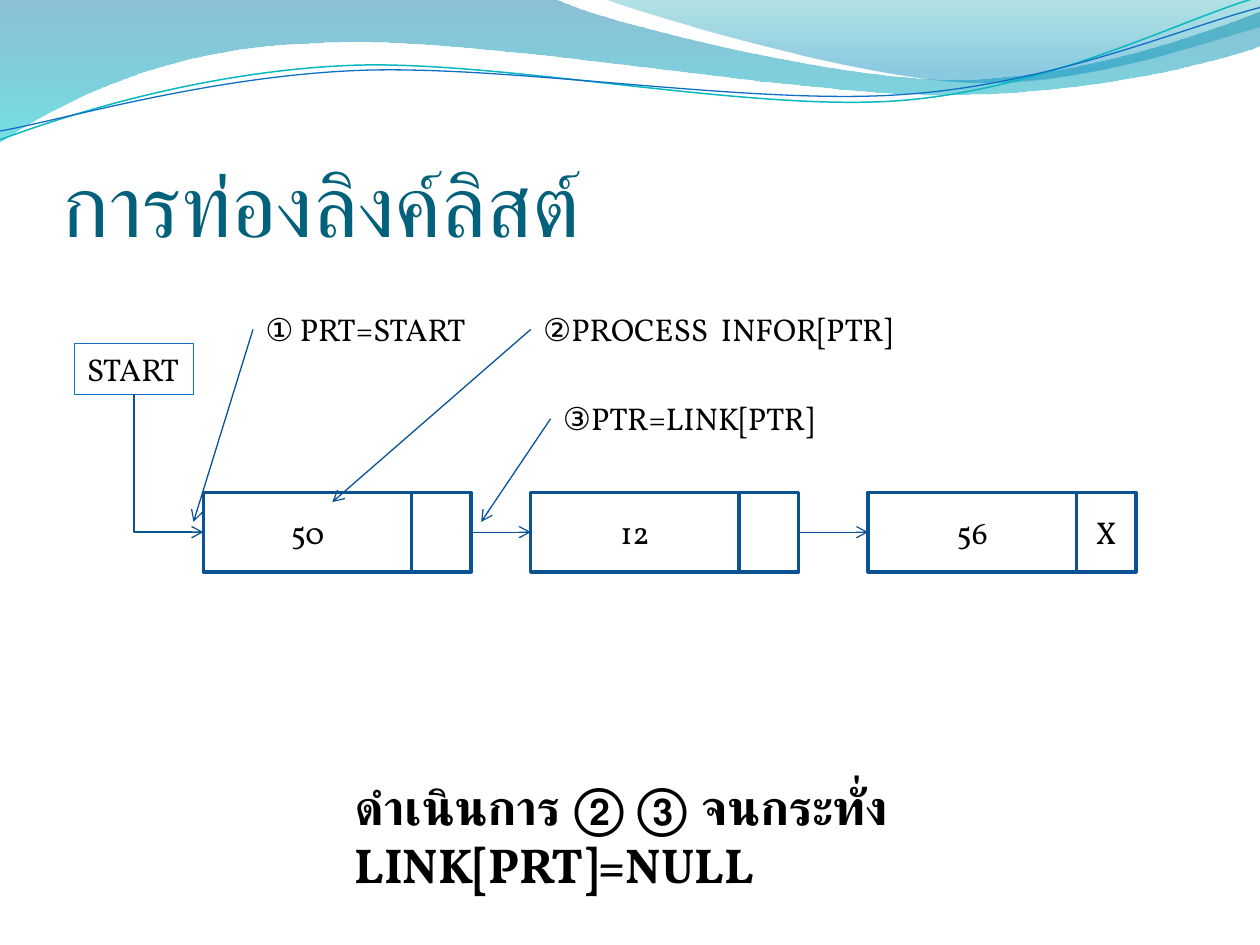
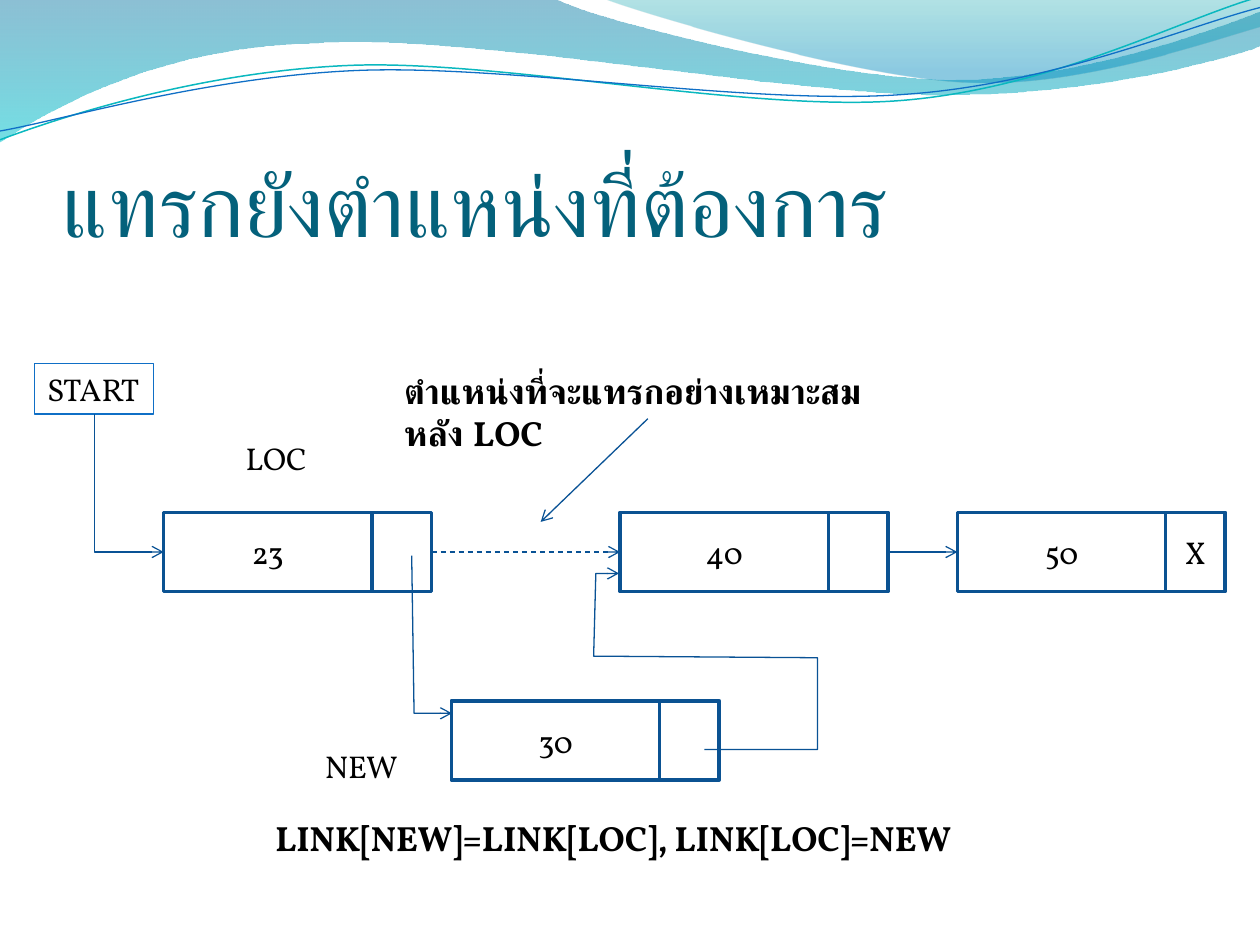
from itertools import pairwise
from lxml import etree
from pptx import Presentation, util as u
from pptx.dml.color import RGBColor
from pptx.enum import dml, shapes, text
from pptx.oxml import ns

CELL = u.Mm(4)
INFO_COLUMNS, LINK_COLUMNS, NODE_ROWS = 10.5, 3, 4
START_COLUMNS, START_ROWS, START_LEFT, START_RISE = 6, 2.55, 6.5, 7.5
BLACK, WHITE, TITLE = "000000", "FFFFFF", "04617B"
NODE_LINE, ARROW_LINE, START_LINE = "0B5292", "095295", "0F6FC6"
BODY_FONT, TITLE_FONT = "Vollkorn", "Calibri"

waves = [
    {"outline": [(0, 0), (4.4, -0.01), (4.76, 0.17, 6.64, 0.63, 7.58, 0.63),
                 (8.53, 0.63, 9.58, 0.26, 10, 0.09), (10.01, 0.36),
                 (9.83, 0.44, 8.7, 0.76, 7.46, 0.75), (6.22, 0.75, 3.82, 0.28, 2.57, 0.34),
                 (1.29, 0.36, 0.46, 0.83, -0.01, 1.13), (0, 0)],
     "stops": [(0, "0074A1", 45), (1, "00C6CF", 55)]},
    {"outline": [(4.79, -0.01), (5.09, 0.11, 6.82, 0.62, 7.69, 0.65),
                 (8.56, 0.69, 9.61, 0.32, 10, 0.21), (10, 0), (4.79, -0.01)],
     "stops": [(0, "00A1A9", 30), (0.8, "008BBF", 45)]},
    {"outline": [(0, 1.11), (0.48, 0.93, 1.58, 0.57, 2.77, 0.52),
                 (3.95, 0.47, 5.93, 0.89, 7.13, 0.8), (8.33, 0.71, 9.38, 0.15, 9.98, -0.02)],
     "line": ("0AB8BF", 0.85)},
    {"outline": [(0, 1.04), (0.47, 0.96, 1.64, 0.61, 2.83, 0.56),
                 (4.03, 0.51, 5.97, 0.84, 7.17, 0.75), (8.36, 0.67, 9.41, 0.21, 10, 0.06)],
     "line": (START_LINE, 0.75)},
]

pages = [
    {"title": "การท่องลิงค์ลิสต์",
     "nodes": [(10.25, 24.82, "50", ""), (26.75, 24.82, "12", ""), (43.75, 24.82, "56", "X")],
     "chain": 3,
     "dashed": [],
     "pointers": [(12.75, 16.6, 9.75, 26.3), (26.75, 16.6, 16.75, 25.3),
                  (27.75, 21.1, 24.25, 26.3)],
     "routes": [],
     "notes": [(12.75, 15.3, 11.55, 18, False, "① PRT=START"),
               (26.75, 15.3, 19.2, 18, False, "②PROCESS  INFOR[PTR]"),
               (27.75, 19.8, 14.2, 18, False, "③PTR=LINK[PTR]"),
               (17.25, 38.8, 44, 28, True, "ดำเนินการ ② ③ จนกระทั่ง LINK[PRT]=NULL")]},
    {"title": "แทรกยังตำแหน่งที่ต้องการ",
     "nodes": [(8.25, 25.82, "23", ""), (31.25, 25.82, "40", ""), (48.25, 25.82, "50", "X"),
               (22.75, 35.32, "30", "")],
     "chain": 3,
     "dashed": [0],
     "pointers": [(32.65, 21.1, 27.25, 26.3)],
     "routes": [[(20.75, 28), (20.87, 35.95), (22.78, 35.95)],
                [(35.5, 37.78), (41.2, 37.78), (41.2, 33.15), (29.92, 33.07),
                 (30.03, 28.9), (31.2, 28.9)]],
     "notes": [(15.75, 37.35, 5, 18, False, "NEW"),
               (19.75, 18.3, 25.85, 20, True, "ตำแหน่งที่จะแทรกอย่างเหมาะสม หลัง LOC"),
               (11.75, 21.82, 4.5, 18, False, "LOC"),
               (13.25, 40.85, 36.7, 20, True, "LINK[NEW]=LINK[LOC], LINK[LOC]=NEW")]},
]


def paint(target, color):
    target.solid()
    target.fore_color.rgb = RGBColor.from_string(color)


def grid(*cells):
    return [round(cell * CELL) for cell in cells]


presentation = Presentation()
presentation.slide_width, presentation.slide_height = u.Inches(10), u.Inches(7.5)
width, height = presentation.slide_width, presentation.slide_height
slides = [presentation.slides.add_slide(presentation.slide_layouts[6]) for page in pages]
master_tree = presentation.slide_master.shapes.element

for order, wave in enumerate(waves):
    points = [(u.Inches(x), u.Inches(y)) for segment in wave["outline"]
              for x, y in zip(segment[::2], segment[1::2])]
    builder = slides[0].shapes.build_freeform(*points[0])
    builder.add_line_segments(points[1:], close="stops" in wave)
    shape = builder.convert_to_shape()
    shape.shadow.inherit = False
    steps = iter(list(shape.element.iter(ns.qn("a:lnTo"))))
    for segment in wave["outline"][1:]:
        step = next(steps)
        if len(segment) == 6:
            curve = etree.Element(ns.qn("a:cubicBezTo"))
            step.addprevious(curve)
            for corner in (step, next(steps), next(steps)):
                curve.append(corner[0])
                corner.getparent().remove(corner)
    if "stops" in wave:
        shape.line.fill.background()
        shape.fill.gradient()
        shape.fill.gradient_angle = 270
        for stop, (position, color, opacity) in zip(shape.fill.gradient_stops, wave["stops"]):
            stop.position = position
            stop.color.rgb = RGBColor.from_string(color)
        for color, (_, _, opacity) in zip(shape.element.iter(ns.qn("a:srgbClr")), wave["stops"]):
            etree.SubElement(color, ns.qn("a:alpha"), val=str(opacity * 1000))
    else:
        color, weight = wave["line"]
        shape.fill.background()
        paint(shape.line.fill, color)
        shape.line.width = u.Pt(weight)
    shape.element.nvSpPr.cNvPr.set("id", str(100 + order))
    master_tree.insert(2 + order, shape.element)

for slide, page in zip(slides, pages):
    labels, arrows = [], []

    title = slide.shapes.add_textbox(round(width * 0.05), round(height * 0.1027),
                                     round(width * 0.9), round(height * 0.1667))
    labels.append((title, page["title"], TITLE, {"size": u.Pt(50), "name": TITLE_FONT},
                   {"word_wrap": True, "vertical_anchor": text.MSO_ANCHOR.BOTTOM,
                    "margin_left": 0, "margin_right": 0, "margin_bottom": 0}, None))

    nodes = []
    for column, row, info, link in page["nodes"]:
        cells = []
        for left, columns, value in ((column, INFO_COLUMNS, info),
                                     (column + INFO_COLUMNS, LINK_COLUMNS, link)):
            shape = slide.shapes.add_shape(shapes.MSO_SHAPE.RECTANGLE,
                                           *grid(left, row, columns, NODE_ROWS))
            shape.shadow.inherit = False
            paint(shape.fill, WHITE)
            paint(shape.line.fill, NODE_LINE)
            shape.line.width = u.Pt(2)
            cells.append(shape)
            if value:
                labels.append((shape, value, BLACK, {"size": u.Pt(18), "name": BODY_FONT},
                               {"vertical_anchor": text.MSO_ANCHOR.MIDDLE},
                               text.PP_ALIGN.CENTER))
        nodes.append(cells)

    column, row = page["nodes"][0][:2]
    start = slide.shapes.add_shape(shapes.MSO_SHAPE.RECTANGLE, *grid(
        column - START_LEFT, row - START_RISE, START_COLUMNS, START_ROWS))
    start.shadow.inherit = False
    start.fill.background()
    paint(start.line.fill, START_LINE)
    start.line.width = u.Pt(0.75)
    labels.append((start, "START", BLACK, {"size": u.Pt(18), "name": BODY_FONT},
                   {"word_wrap": False, "vertical_anchor": text.MSO_ANCHOR.TOP},
                   text.PP_ALIGN.LEFT))

    elbow = slide.shapes.add_connector(shapes.MSO_CONNECTOR.ELBOW, 0, 0, 0, 0)
    elbow.begin_connect(start, 2)
    elbow.end_connect(nodes[0][0], 1)
    run, drop = elbow.end_x - elbow.begin_x, elbow.end_y - elbow.begin_y
    middle_x, middle_y = elbow.begin_x + run // 2, elbow.begin_y + drop // 2
    elbow.left, elbow.top = middle_x - drop // 2, middle_y - run // 2
    elbow.width, elbow.height = drop, run
    frame = elbow.element.spPr.find(ns.qn("a:xfrm"))
    frame.set("rot", "16200000")
    frame.set("flipH", "1")
    elbow.element.spPr.find(ns.qn("a:prstGeom")).set("prst", "bentConnector2")
    arrows.append(elbow)

    for index, (source, target) in enumerate(pairwise(nodes[:page["chain"]])):
        connector = slide.shapes.add_connector(shapes.MSO_CONNECTOR.STRAIGHT, 0, 0, 0, 0)
        connector.begin_connect(source[1], 3)
        connector.end_connect(target[0], 1)
        if index in page["dashed"]:
            connector.line.dash_style = dml.MSO_LINE.DASH
        arrows.append(connector)

    for pointer in page["pointers"]:
        arrows.append(slide.shapes.add_connector(shapes.MSO_CONNECTOR.STRAIGHT, *grid(*pointer)))

    for route in page["routes"]:
        points = [grid(*point) for point in route]
        builder = slide.shapes.build_freeform(*points[0])
        builder.add_line_segments(points[1:], close=False)
        shape = builder.convert_to_shape()
        shape.fill.background()
        arrows.append(shape)

    for arrow in arrows:
        paint(arrow.line.fill, ARROW_LINE)
        arrow.line.width = u.Pt(0.75)
        properties = arrow.element.spPr
        etree.SubElement(properties.find(ns.qn("a:ln")), ns.qn("a:tailEnd"), type="arrow")
        etree.SubElement(properties, ns.qn("a:effectLst"))

    for left, top, columns, size, bold, note in page["notes"]:
        box = slide.shapes.add_textbox(*grid(left, top, columns, size / 7))
        labels.append((box, note, BLACK, {"size": u.Pt(size), "name": BODY_FONT, "bold": bold},
                       {"word_wrap": size > 18, "auto_size": text.MSO_AUTO_SIZE.SHAPE_TO_FIT_TEXT},
                       None))

    for shape, words, color, font_format, frame_format, alignment in labels:
        for name, value in frame_format.items():
            setattr(shape.text_frame, name, value)
        paragraph = shape.text_frame.paragraphs[0]
        paragraph.alignment = alignment
        run = paragraph.add_run()
        run.text = words
        for name, value in font_format.items():
            setattr(run.font, name, value)
        paint(run.font.fill, color)

presentation.save("out.pptx")
